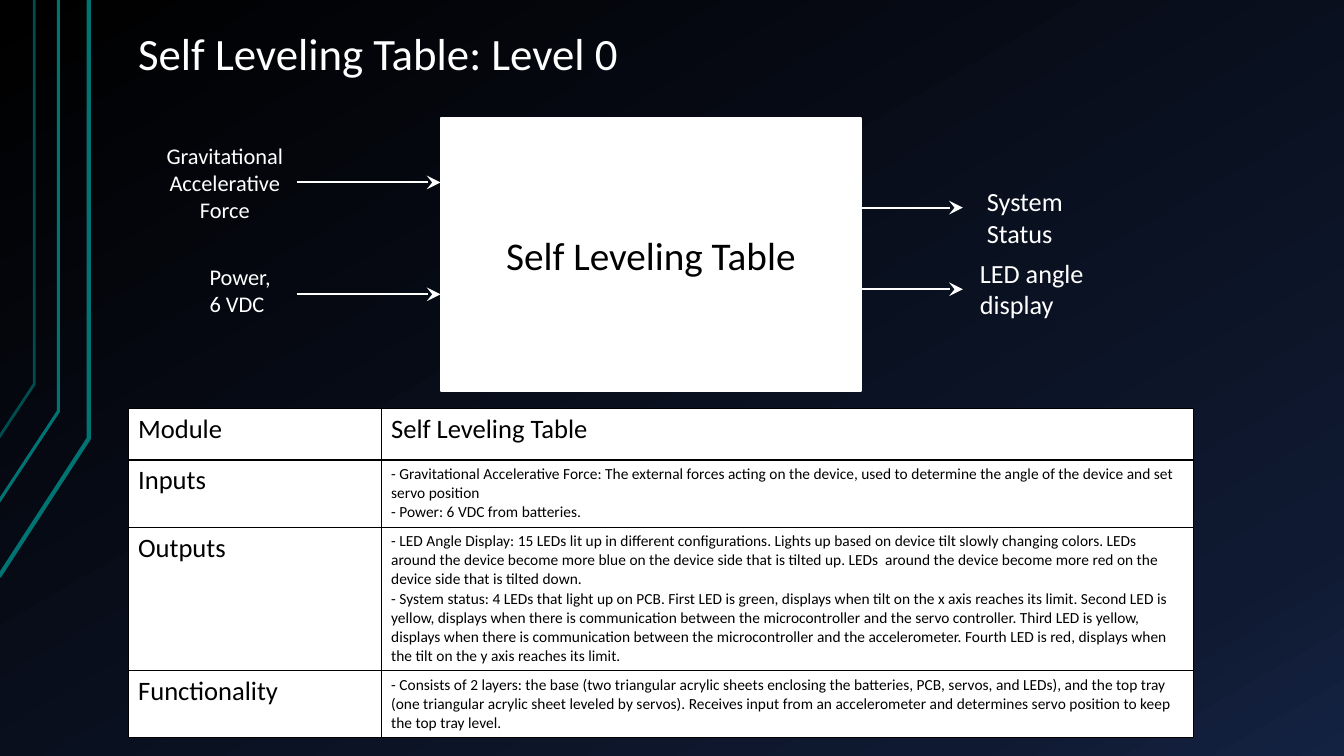
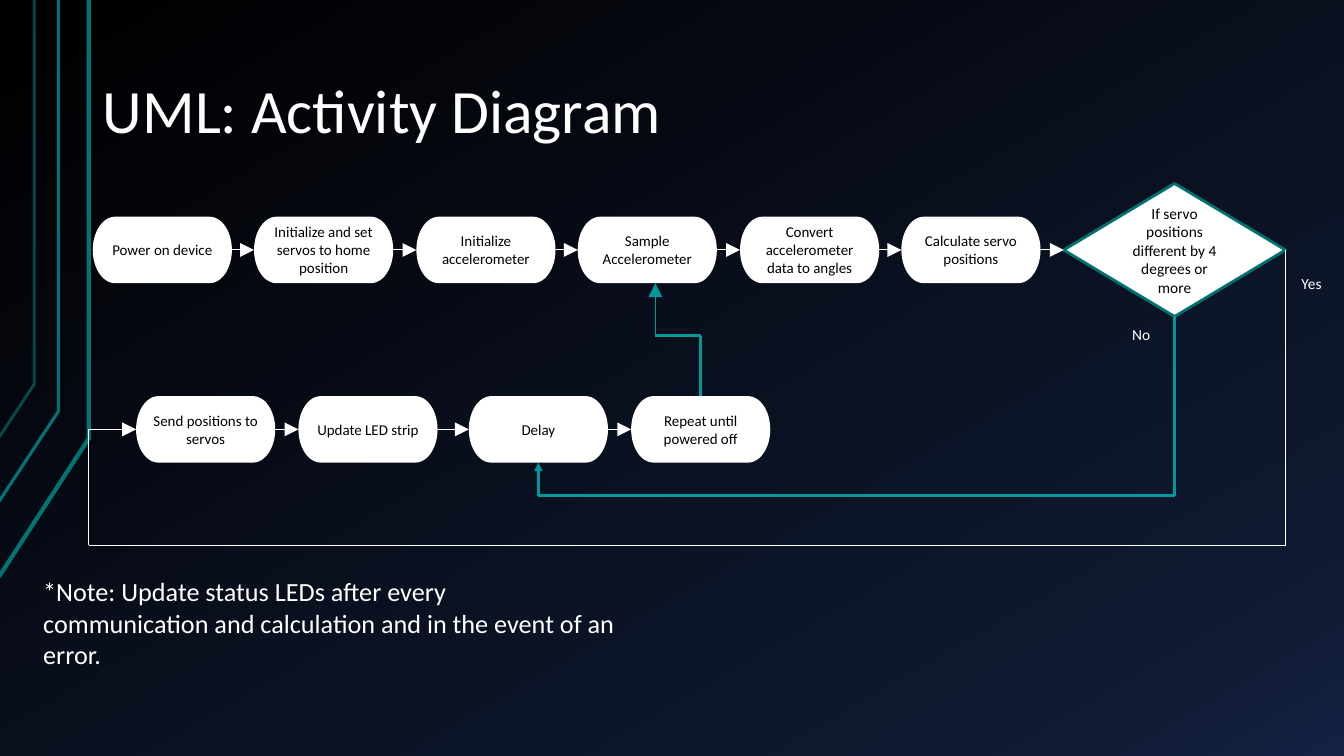
from copy import deepcopy
from itertools import pairwise

from lxml import etree
from pptx import Presentation
from pptx import util as u
from pptx.dml.color import RGBColor
from pptx.enum import shapes, text
from pptx.oxml.ns import qn

PX = 9144
FONT = "Calibri"
WHITE, BLACK = "FFFFFF", "000000"
TEAL, RIM, BAND, DIM = "009999", "007171", "007373", "004D4D"
GRAD = [(0, BLACK), (0.85, "0F1931"), (1, "142242")]
BANDS = [
    ([(-1, 572), (88, 435), (88, 0)], BAND, 3),
    ([(-2, 499), (58, 408), (58, 0)], BAND, 2.25),
    ([(-1, 434), (34, 381), (34, 0)], DIM, 2),
]
THIN = {"color": WHITE, "width": 0.75}
BOLD = {"color": TEAL, "width": 2}
STEP_W, STEP_H = 138, 66
TOP_Y, LOW_Y = 215, 393
TOP = [
    "Power on device",
    "Initialize and set servos to home position",
    "Initialize accelerometer",
    "Sample Accelerometer",
    "Convert accelerometer data to angles",
    "Calculate servo positions",
]
LOW = [
    (135, "Send positions to servos"),
    (296, "Update LED strip"),
    (465, "Delay"),
    (626, "Repeat until powered off"),
]
ROWS = [
    (51, "Module", "Self Leveling Table"),
    (67, "Inputs",
     "- Gravitational Accelerative Force: The external forces acting on the device, "
     "used to determine the angle of the device and set servo position\n"
     "- Power: 6 VDC from batteries."),
    (142, "Outputs",
     "- LED Angle Display: 15 LEDs lit up in different configurations. Lights up based "
     "on device tilt slowly changing colors. LEDs around the device become more blue on "
     "the device side that is tilted up. LEDs  around the device become more red on the "
     "device side that is tilted down.\n"
     "- System status: 4 LEDs that light up on PCB. First LED is green, displays when tilt "
     "on the x axis reaches its limit. Second LED is yellow, displays when there is "
     "communication between the microcontroller and the servo controller. Third LED is "
     "yellow, displays when there is communication between the microcontroller and the "
     "accelerometer. Fourth LED is red, displays when the tilt on the y axis reaches its limit."),
    (67, "Functionality",
     "- Consists of 2 layers: the base (two triangular acrylic sheets enclosing the "
     "batteries, PCB, servos, and LEDs), and the top tray (one triangular acrylic sheet "
     "leveled by servos). Receives input from an accelerometer and determines servo "
     "position to keep the top tray level."),
]


def rgb(color):
    """Turn a hex string into a colour."""
    return RGBColor.from_string(color)


def emu(*vals):
    """Turn px into EMU."""
    return [u.Emu(round(val * PX)) for val in vals]


def put(item, vals):
    """Set each named value on the item."""
    for key, val in vals.items():
        setattr(item, key, val)


def write(frame, words, size, color=WHITE, align="LEFT", space=1.0):
    """Fill a text frame, one paragraph for each line."""
    for i, line in enumerate(words.split("\n")):
        para = frame.add_paragraph() if i else frame.paragraphs[0]
        para.text = line
        put(para, {"alignment": text.PP_ALIGN[align], "line_spacing": space})
        put(para.font, {"name": FONT, "size": u.Pt(size)})
        para.font.color.rgb = rgb(color)


def stroke(line, color, width):
    """Set the colour and width of a line."""
    line.color.rgb = rgb(color)
    line.width = u.Pt(width)


def title(slide, words, spot, size, anchor, space):
    """Place and format the title."""
    head = slide.shapes.title
    put(head, dict(zip(("left", "top", "width", "height"), emu(*spot))))
    put(head.text_frame, {
        "vertical_anchor": text.MSO_ANCHOR[anchor],
        "auto_size": text.MSO_AUTO_SIZE.NONE,
        "word_wrap": True,
    })
    write(head.text_frame, words, size, space=space)


def label(slide, words, spot, size, align="LEFT", wrap=True):
    """Add a text box."""
    box = slide.shapes.add_textbox(*emu(*spot))
    box.text_frame.word_wrap = wrap
    write(box.text_frame, words, size, align=align)


def block(slide, kind, words, spot, size, edge=None):
    """Add a white shape with centred black text."""
    box = slide.shapes.add_shape(shapes.MSO_SHAPE[kind], *emu(*spot))
    box.shadow.inherit = False
    box.fill.solid()
    box.fill.fore_color.rgb = rgb(WHITE)
    if edge:
        stroke(box.line, *edge)
    else:
        box.line.fill.background()
    put(box.text_frame, {"word_wrap": True, "vertical_anchor": text.MSO_ANCHOR.MIDDLE})
    write(box.text_frame, words, size, BLACK, "CENTER")
    return box


def link(slide, start, end, color, width, head=None, scale="lg"):
    """Draw a line between two ends, each a point or a (shape, site) pair."""
    ends = [spot if isinstance(spot[0], int) else (0, 0) for spot in (start, end)]
    line = slide.shapes.add_connector(
        shapes.MSO_CONNECTOR.STRAIGHT, *emu(*ends[0], *ends[1]))
    for spot, join in ((start, line.begin_connect), (end, line.end_connect)):
        if not isinstance(spot[0], int):
            join(*spot)
    stroke(line.line, color, width)
    props = line.element.spPr
    if head:
        etree.SubElement(props.get_or_add_ln(), qn("a:tailEnd"),
                         type=head, w=scale, len=scale)
    etree.SubElement(props, qn("a:effectLst"))


def route(slide, stops, style, head="triangle", scale="lg"):
    """Draw a bent line with a head on its last leg."""
    legs = list(pairwise(stops))
    for i, (start, end) in enumerate(legs, 1):
        link(slide, start, end, **style, head=head if i == len(legs) else None, scale=scale)


def border(cell, sides):
    """Draw black cell borders from a dict of side to width."""
    props = cell._tc.get_or_add_tcPr()
    for side, width in sides.items():
        line = etree.SubElement(props, qn(f"a:ln{side}"), w=str(u.Pt(width)))
        fill = etree.SubElement(line, qn("a:solidFill"))
        etree.SubElement(fill, qn("a:srgbClr"), val=BLACK)


def grid(slide):
    """Add the module table."""
    high = sum(row[0] for row in ROWS)
    table = slide.shapes.add_table(len(ROWS), 2, *emu(127, 405, 1057, high)).table
    put(table, {"first_row": False, "horz_banding": False})
    for col, width in zip(table.columns, emu(251, 806)):
        col.width = width
    for i, (tall, *words) in enumerate(ROWS):
        table.rows[i].height = emu(tall)[0]
        for j, word in enumerate(words):
            cell = table.cell(i, j)
            border(cell, {"L": 0.75, "R": 0.75, "T": 1.5 if i == 1 else 0.75,
                          "B": 1.5 if i == 0 else 0.75})
            cell.fill.solid()
            cell.fill.fore_color.rgb = rgb(WHITE)
            write(cell.text_frame, word, 11 if i and j else 19, BLACK)


def theme(deck, slide):
    """Give the master its gradient and its bands."""
    master = deck.slide_master
    fill = master.background.fill
    fill.gradient()
    fill.gradient_angle = 300
    stops = master.element.cSld.find(".//" + qn("a:gsLst"))
    stops.append(deepcopy(stops[0]))
    for stop, (place, color) in zip(fill.gradient_stops, GRAD):
        stop.position = place
        stop.color.rgb = rgb(color)
    for points, color, width in BANDS:
        pen = slide.shapes.build_freeform(*points[0], scale=PX)
        pen.add_line_segments(points[1:], close=False)
        band = pen.convert_to_shape()
        band.shadow.inherit = False
        band.fill.background()
        stroke(band.line, color, width)
        master.element.cSld.spTree.append(band.element)


def level(slide):
    """Build the level 0 slide."""
    title(slide, "Self Leveling Table: Level 0", (127, 21, 511, 64), 32, "TOP", 1.0)
    block(slide, "RECTANGLE", "Self Leveling Table", (437, 117, 417, 271), 28, (WHITE, 1.5))
    for left, right, y in ((295, 437, 181), (295, 437, 292), (854, 955, 206), (854, 955, 287)):
        link(slide, (left, y), (right, y), WHITE, 1.5, "stealth")
    label(slide, "Gravitational Accelerative Force", (153, 136, 140, 91), 16, "CENTER")
    label(slide, "Power,\n6 VDC", (198, 256, 82, 64), 16)
    label(slide, "System Status", (969, 179, 108, 71), 18.7)
    label(slide, "LED angle\vdisplay", (962, 250, 140, 71), 18.7)
    grid(slide)


def flow(slide):
    """Build the activity diagram slide."""
    title(slide, "UML: Activity Diagram", (92, 40, 1150, 145), 44, "MIDDLE", 0.9)

    def step(x, y, words):
        """Add one step."""
        return block(slide, "FLOWCHART_TERMINATOR", words, (x, y, STEP_W, STEP_H), 10.7)

    top = [step(round(92 + 160.4 * i), TOP_Y, words) for i, words in enumerate(TOP)]
    low = [step(x, LOW_Y, words) for x, words in LOW]
    test = block(slide, "DIAMOND", "If servo positions different by 4 degrees or more",
                 (1055, 182, 220, 132), 11, (RIM, 2))
    for one, two in [*pairwise([*top, test]), *pairwise(low)]:
        link(slide, (one, 3), (two, 1), **THIN, head="triangle")
    send, _, delay, again = low
    mid = LOW_Y + STEP_H // 2
    route(slide, [(test, 3), (1275, 541), (88, 541), (88, mid), (send, 1)], THIN)
    route(slide, [(test, 2), (1165, 492), (534, 492), (delay, 2)], BOLD, scale="med")
    route(slide, [(again, 0), (695, 333), (650, 333)], BOLD, head=None)
    link(slide, (650, 333), (650, 281), TEAL, 0.75, "triangle")
    label(slide, "Yes", (1281, 267, 50, 29), 11)
    label(slide, "No", (1113, 318, 38, 29), 11, wrap=False)
    label(slide, "*Note: Update status LEDs after every communication and calculation "
          "and in the event of an error.", (33, 566, 589, 71), 18.7)


def main():
    """Build and save the deck."""
    deck = Presentation()
    deck.slide_width, deck.slide_height = u.Inches(13.33), u.Inches(7.5)
    first, second = [deck.slides.add_slide(deck.slide_layouts[5]) for _ in range(2)]
    theme(deck, first)
    level(first)
    flow(second)
    deck.save("out.pptx")


if __name__ == "__main__":
    main()
